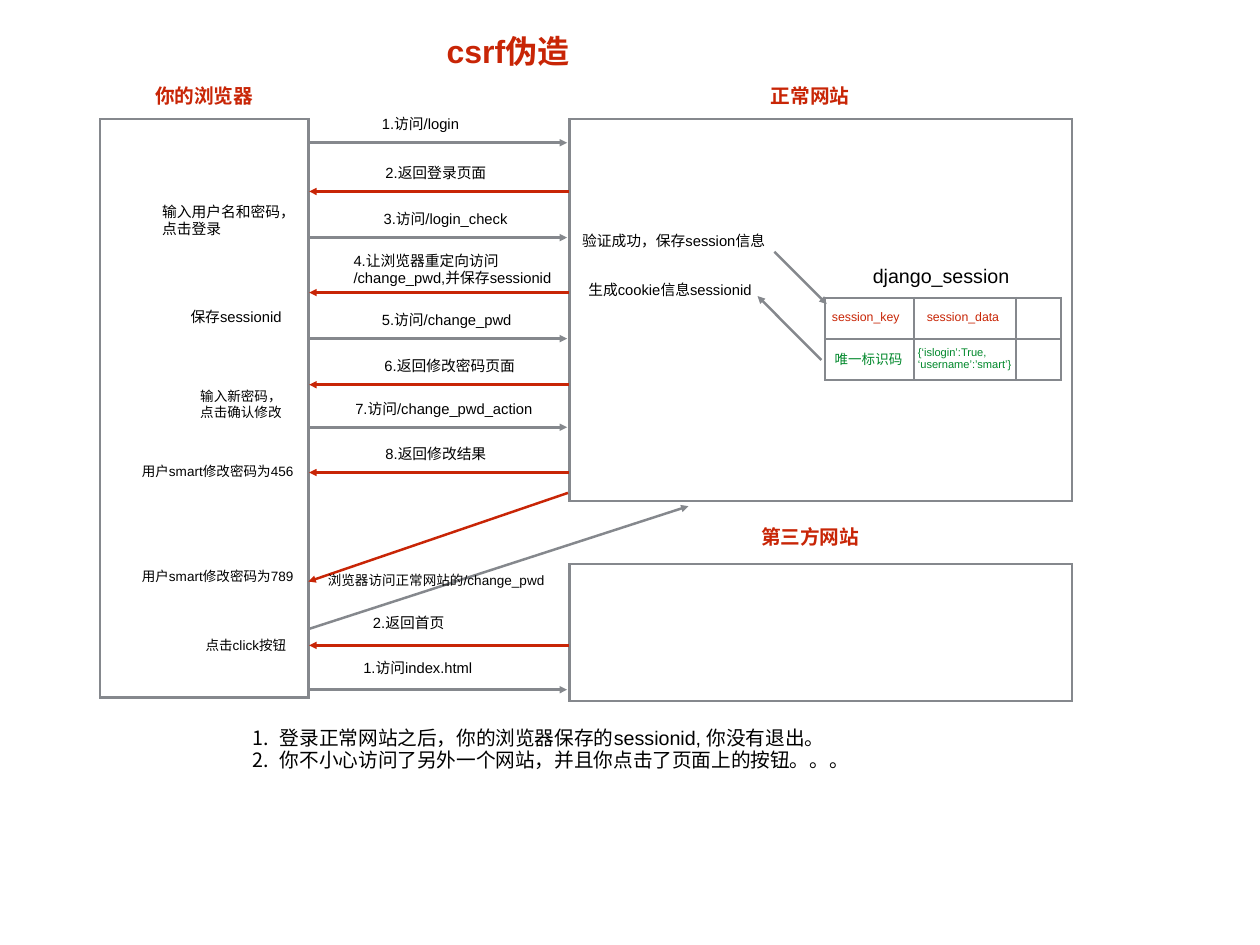
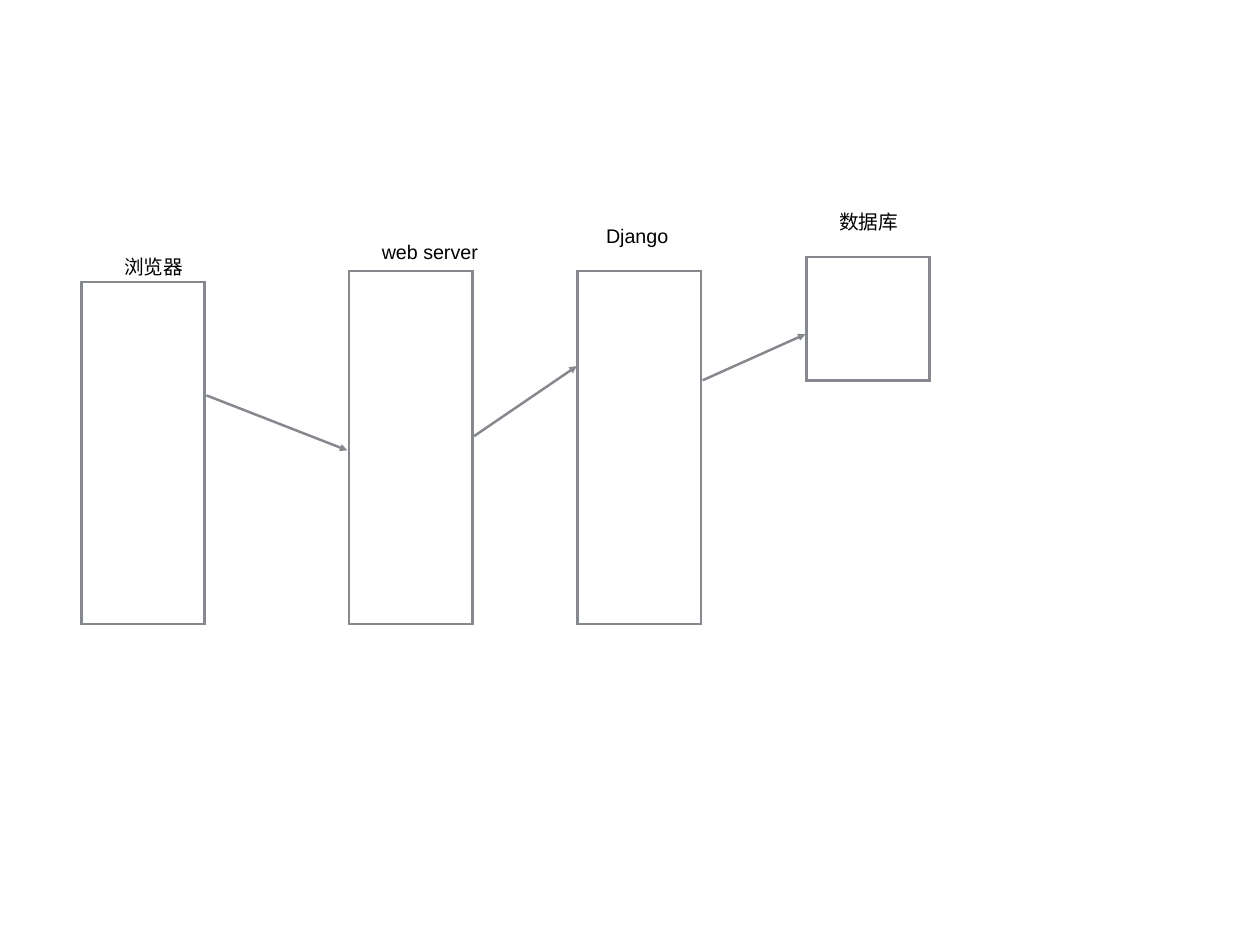
from dataclasses import dataclass

from lxml import etree
from pptx import Presentation
from pptx import util as u
from pptx.dml.color import RGBColor
from pptx.enum import shapes, text
from pptx.oxml.ns import qn

PX = 9144  # 100 px to the inch
COLORS = {"gray": "85888D", "red": "C82506", "green": "00882B", "black": "000000"}
FONT = "Arial"
LINE_WIDTH = u.Pt(2)
INSET = 6
REQUEST_X = (348, 640)
REPLY_X = (642, 349)


@dataclass(frozen=True)
class Label:
    text: str
    x: int
    y: int
    width: int
    size: int = 12
    color: str = "black"
    bold: bool = False
    numbered: bool = False


@dataclass(frozen=True)
class Panel:
    x: int
    y: int
    width: int
    height: int


@dataclass(frozen=True)
class Arrow:
    x1: int
    y1: int
    x2: int
    y2: int
    color: str = "gray"


@dataclass(frozen=True)
class Message:
    """A labelled arrow between the browser and a site."""
    text: str
    y: int
    label_x: int
    label_width: int
    reply: bool = False
    label_rise: int = 35


@dataclass(frozen=True)
class Cell:
    text: str
    size: int
    color: str
    indent: int


@dataclass(frozen=True)
class Stage:
    panel: Panel
    label: Label


def heading(words: str, x: int, y: int, width: int, size: int = 16) -> Label:
    return Label(words, x, y, width, size, "red", bold=True)


PANELS = [
    Panel(113, 134, 235, 653),
    Panel(643, 134, 567, 431),
    Panel(643, 636, 567, 155),
]

MESSAGES = [
    Message("1.访问/login", 161, 425, 112),
    Message("2.返回登录页面", 216, 429, 129, reply=True),
    Message("3.访问/login_check", 268, 427, 164),
    Message("4.让浏览器重定向访问\n/change_pwd,并保存sessionid", 330, 393, 251,
            reply=True, label_rise=49),
    Message("5.访问/change_pwd", 382, 425, 171),
    Message("6.返回修改密码页面", 434, 428, 163, reply=True),
    Message("7.访问/change_pwd_action", 482, 395, 227),
    Message("8.返回修改结果", 533, 429, 129, reply=True),
    Message("2.返回首页", 728, 415, 96, reply=True, label_rise=39),
    Message("1.访问index.html", 778, 404, 150, label_rise=39),
]

ARROWS = [
    Arrow(874, 284, 933, 343),
    Arrow(927, 406, 855, 334),
    Arrow(347, 710, 777, 571),
    Arrow(641, 556, 348, 656, "red"),
]

LABELS = [
    heading("csrf伪造", 498, 34, 159, 26),
    heading("你的浏览器", 169, 92, 122),
    heading("正常网站", 864, 92, 100),
    heading("第三方网站", 853, 589, 122),
    Label("输入用户名和密码，\n点击登录", 177, 226, 161),
    Label("保存sessionid", 209, 343, 121),
    Label("输入新密码，\n点击确认修改", 220, 434, 103, 11),
    Label("用户smart修改密码为456", 154, 519, 198, 11),
    Label("用户smart修改密码为789", 154, 637, 198, 11),
    Label("点击click按钮", 226, 715, 111, 11),
    Label("验证成功，保存session信息", 651, 258, 227),
    Label("生成cookie信息sessionid", 658, 313, 213),
    Label("django_session", 979, 295, 171, 16),
    Label("浏览器访问正常网站的/change_pwd", 364, 642, 265, 11),
    Label("登录正常网站之后，你的浏览器保存的sessionid, 你没有退出。\n"
          "你不小心访问了另外一个网站，并且你点击了页面上的按钮。。。",
          279, 816, 685, 16, numbered=True),
]

SESSION_AREA = Panel(931, 336, 266, 93)
SESSION_COLUMNS = (101, 115, 50)
SESSION_ROWS = (46, 47)
SESSION_CELLS = [
    [Cell("session_key", 10, "red", 8), Cell("session_data", 10, "red", 14),
     Cell("", 10, "black", 0)],
    [Cell("唯一标识码", 11, "green", 11),
     Cell("{‘islogin’:True,\n‘username’:’smart’}", 9, "green", 4),
     Cell("", 10, "black", 0)],
]

STAGES = [
    Stage(Panel(92, 318, 139, 386), Label("浏览器", 134, 284, 78, 16)),
    Stage(Panel(394, 306, 139, 398), Label("web server", 425, 267, 126, 16)),
    Stage(Panel(652, 306, 139, 398), Label("Django", 678, 250, 86, 16)),
    Stage(Panel(910, 290, 139, 139), Label("数据库", 941, 234, 78, 16)),
]
STAGE_ARROWS = [
    Arrow(233, 446, 392, 508),
    Arrow(535, 492, 651, 413),
    Arrow(793, 429, 909, 377),
]


def rgb(name: str) -> RGBColor:
    return RGBColor.from_string(COLORS[name])


def add_color(parent, name: str) -> None:
    etree.SubElement(parent, qn("a:srgbClr"), val=COLORS[name])


def add_number(para, indent: int) -> None:
    """Number a paragraph automatically, with a hanging indent."""
    props = para._p.get_or_add_pPr()
    props.set("marL", str(indent * PX))
    props.set("indent", str(-indent * PX))
    add_color(etree.SubElement(props, qn("a:buClr")), "black")
    etree.SubElement(props, qn("a:buAutoNum"), type="arabicPeriod")


def write(frame, words: str, size: int, color: str,
          bold: bool = False, numbered: bool = False) -> None:
    for index, line in enumerate(words.split("\n")):
        para = frame.add_paragraph() if index else frame.paragraphs[0]
        if numbered:
            add_number(para, 31)
        para.line_spacing = 0.9
        if index:
            para.space_before = u.Pt(1)
        para.font.name = FONT
        para.font.size = u.Pt(size)
        para.font.bold = bold
        para.font.color.rgb = rgb(color)
        if line:
            para.add_run().text = line


def draw_label(page, label: Label) -> None:
    """Draw left-aligned text, with room to spare on the right so that no line breaks."""
    lines = label.text.count("\n") + 1
    height = round(label.size * 1.5 * lines) + 2 * INSET
    box = page.shapes.add_textbox(label.x * PX, label.y * PX, label.width * PX, height * PX)
    frame = box.text_frame
    frame.word_wrap = False
    frame.auto_size = text.MSO_AUTO_SIZE.SHAPE_TO_FIT_TEXT
    frame.vertical_anchor = text.MSO_ANCHOR.MIDDLE
    frame.margin_left = frame.margin_top = frame.margin_bottom = INSET * PX
    frame.margin_right = 0
    write(frame, label.text, label.size, label.color, label.bold, label.numbered)


def draw_panel(page, panel: Panel) -> None:
    box = page.shapes.add_shape(shapes.MSO_SHAPE.RECTANGLE, panel.x * PX, panel.y * PX,
                                panel.width * PX, panel.height * PX)
    box.shadow.inherit = False
    box.fill.background()
    box.line.color.rgb = rgb("gray")
    box.line.width = LINE_WIDTH
    etree.SubElement(box.line._get_or_add_ln(), qn("a:miter"), lim="800000")


def draw_arrow(page, arrow: Arrow) -> None:
    connector = page.shapes.add_connector(
        shapes.MSO_CONNECTOR.STRAIGHT,
        arrow.x1 * PX, arrow.y1 * PX, arrow.x2 * PX, arrow.y2 * PX)
    connector.line.color.rgb = rgb(arrow.color)
    connector.line.width = LINE_WIDTH
    etree.SubElement(connector.line._get_or_add_ln(), qn("a:tailEnd"), type="triangle")
    etree.SubElement(connector._element.spPr, qn("a:effectLst"))


def draw_message(page, message: Message) -> None:
    start, end = REPLY_X if message.reply else REQUEST_X
    color = "red" if message.reply else "gray"
    draw_arrow(page, Arrow(start, message.y, end, message.y, color))
    draw_label(page, Label(message.text, message.label_x,
                           message.y - message.label_rise, message.label_width))


def style_cell(cell) -> None:
    """Give a cell gray borders on all sides and no fill."""
    props = cell._tc.get_or_add_tcPr()
    for side in ("a:lnL", "a:lnR", "a:lnT", "a:lnB"):
        border = etree.SubElement(props, qn(side), w=str(LINE_WIDTH))
        add_color(etree.SubElement(border, qn("a:solidFill")), "gray")
    cell.fill.background()


def draw_session_table(page) -> None:
    area = SESSION_AREA
    table = page.shapes.add_table(
        len(SESSION_ROWS), len(SESSION_COLUMNS),
        area.x * PX, area.y * PX, area.width * PX, area.height * PX).table
    table.first_row = table.horz_banding = False
    for column, width in zip(table.columns, SESSION_COLUMNS):
        column.width = width * PX
    for row, height, contents in zip(table.rows, SESSION_ROWS, SESSION_CELLS):
        row.height = height * PX
        for cell, content in zip(row.cells, contents):
            cell.margin_left = content.indent * PX
            cell.margin_right = cell.margin_top = cell.margin_bottom = 0
            cell.vertical_anchor = text.MSO_ANCHOR.MIDDLE
            style_cell(cell)
            write(cell.text_frame, content.text, content.size, content.color)


def build_forgery_page(page) -> None:
    for panel in PANELS:
        draw_panel(page, panel)
    draw_session_table(page)
    for message in MESSAGES:
        draw_message(page, message)
    for arrow in ARROWS:
        draw_arrow(page, arrow)
    for label in LABELS:
        draw_label(page, label)


def build_stages_page(page) -> None:
    for stage in STAGES:
        draw_panel(page, stage.panel)
        draw_label(page, stage.label)
    for arrow in STAGE_ARROWS:
        draw_arrow(page, arrow)


def main() -> None:
    deck = Presentation()
    deck.slide_width = 1422 * PX
    deck.slide_height = 1066 * PX
    blank = deck.slide_layouts[6]
    for build in (build_forgery_page, build_stages_page):
        build(deck.slides.add_slide(blank))
    deck.save("out.pptx")


if __name__ == "__main__":
    main()
